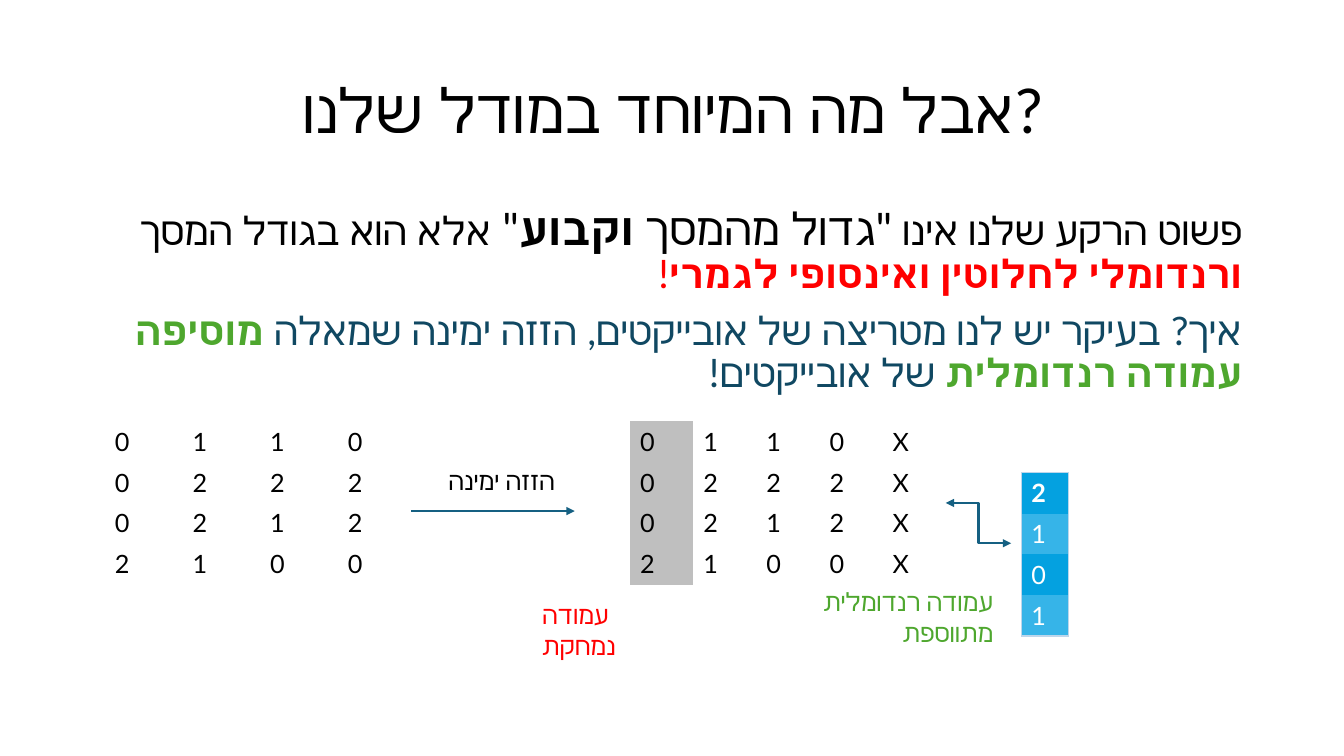
from lxml.etree import SubElement as Sub
from pptx import Presentation
from pptx.dml.color import RGBColor as RGB
from pptx.enum.shapes import MSO_CONNECTOR as Link
from pptx.enum.text import MSO_ANCHOR as Anchor, PP_ALIGN as Align
from pptx.oxml.ns import qn
from pptx.util import Inches, Pt

BLACK = RGB(0, 0, 0)
WHITE = RGB(255, 255, 255)
RED = RGB(255, 0, 0)
GREEN = RGB(0x4E, 0xA7, 0x2E)
NAVY = RGB(0x10, 0x48, 0x62)
TEAL = RGB(0x15, 0x60, 0x82)
GRAY = RGB(0xBF, 0xBF, 0xBF)
BLUE = RGB(0x04, 0xA1, 0xE0)
SKY = RGB(0x36, 0xB4, 0xE8)
EDGE = RGB(0xBD, 0xD6, 0xEB)
FONT = "Lato"
PLAIN = "{2D5ABB26-0587-4C30-8999-92F81FD0307C}"
ROW = 0.405

LEFT = ["0110", "0222", "0212", "2100"]
RIGHT = [row + "X" for row in LEFT]
ADDED = ["2", "1", "0", "1"]

BODY = [
    [("פשוט הרקע שלנו אינו ", 28, BLACK, False),
     ('"גדול מהמסך ', 32, BLACK, False),
     ("וקבוע", 32, BLACK, True),
     ('" ', 32, BLACK, False),
     ("אלא הוא בגודל המסך ", 28, BLACK, False),
     ("ורנדומלי לחלוטין ואינסופי לגמרי", 28, RED, True),
     ("!", 28, RED, False)],
    [("איך? בעיקר יש לנו מטריצה של אובייקטים, הזזה ימינה שמאלה ", 28, NAVY, False),
     ("מוסיפה עמודה רנדומלית ", 28, GREEN, True),
     ("של אובייקטים!", 28, NAVY, False)],
]


def style(run, size, color, bold=False):
    """Format one run, Hebrew letters included."""
    font = run.font
    for name, value in {"name": FONT, "size": Pt(size), "bold": bold}.items():
        setattr(font, name, value)
    font.color.rgb = color
    Sub(run._r.get_or_add_rPr(), qn("a:cs"), typeface=FONT)


def write(para, runs, rtl=False, **form):
    """Fill a paragraph with (text, size, colour, bold) runs."""
    if rtl:
        para._p.get_or_add_pPr().set("rtl", "1")
        para.alignment = Align.RIGHT
    for name, value in form.items():
        setattr(para, name, value)
    for text, *look in runs:
        run = para.add_run()
        run.text = text
        style(run, *look)


def place(shape, *box):
    """Move and size a shape, in inches."""
    for name, value in zip(("left", "top", "width", "height"), box):
        setattr(shape, name, Inches(value))


def add_text(slide, box, paras, rtl=False, **form):
    """Add a wrapping text box with one or more paragraphs."""
    frame = slide.shapes.add_textbox(*map(Inches, box)).text_frame
    frame.word_wrap = True
    for index, runs in enumerate(paras):
        para = frame.add_paragraph() if index else frame.paragraphs[0]
        write(para, runs, rtl, space_before=Pt(10 if index else 0), **form)


def add_edge(cell, sides):
    """Draw thin borders on the named sides of a cell."""
    props = cell._tc.get_or_add_tcPr()
    for side in sides:
        line = Sub(props, qn("a:ln" + side), w=str(Pt(1)))
        Sub(Sub(line, qn("a:solidFill")), qn("a:srgbClr"), val=str(EDGE))


def add_grid(slide, left, top, wide, rows, fills, color=BLACK, edged=False):
    """Add a table; fills maps (row, column) to a cell colour."""
    size = len(rows), len(rows[0])
    box = left, top, wide * size[1], ROW * size[0]
    table = slide.shapes.add_table(*size, *map(Inches, box)).table
    table.first_row = table.horz_banding = False
    table._tbl.tblPr.find(qn("a:tableStyleId")).text = PLAIN
    for r, row in enumerate(rows):
        for c, text in enumerate(row):
            cell = table.cell(r, c)
            if edged:
                ends = "T" * (r == 0) + "B" * (r == size[0] - 1)
                add_edge(cell, "LR" + ends)
            if (r, c) in fills:
                cell.fill.solid()
                cell.fill.fore_color.rgb = fills[r, c]
            else:
                cell.fill.background()
            bold = edged and r == 0
            write(cell.text_frame.paragraphs[0], [(text, 18, color, bold)])


def add_arrow(slide, kind, ends, heads):
    """Add a connector with the given arrowheads."""
    link = slide.shapes.add_connector(kind, *map(Inches, ends))
    link.line.color.rgb = TEAL
    link.line.width = Pt(1.5)
    line = link.line._get_or_add_ln()
    for head in heads:
        Sub(line, qn("a:" + head), type="triangle")
    Sub(link._element.spPr, qn("a:effectLst"))


def main():
    """Build the slide and save it."""
    deck = Presentation()
    deck.slide_width, deck.slide_height = Inches(13.33), Inches(7.5)
    slide = deck.slides.add_slide(deck.slide_layouts[5])

    title = slide.shapes.title
    place(title, 0.92, 0.4, 11.5, 1.45)
    title.text_frame.vertical_anchor = Anchor.MIDDLE
    write(title.text_frame.paragraphs[0],
          [("אבל מה המיוחד במודל שלנו?", 44, BLACK)],
          alignment=Align.CENTER, line_spacing=0.9)
    add_text(slide, (0.92, 2, 11.5, 2), BODY, rtl=True, line_spacing=0.9)

    add_grid(slide, 1.04, 4.18, 0.77, LEFT, {})
    add_grid(slide, 6.25, 4.18, 0.626, RIGHT, {(r, 0): GRAY for r in range(4)})
    bands = {(r, 0): SKY if r % 2 else BLUE for r in range(4)}
    add_grid(slide, 10.13, 4.69, 0.47, ADDED, bands, WHITE, True)

    add_arrow(slide, Link.STRAIGHT, (4.08, 5.07, 5.7, 5.07), ["tailEnd"])
    add_arrow(slide, Link.ELBOW, (10.03, 5.39, 9.38, 4.99),
              ["headEnd", "tailEnd"])

    add_text(slide, (4.35, 4.57, 1.4, 0.4), [[("הזזה ימינה", 18, BLACK)]])
    add_text(slide, (5.28, 5.9, 1.15, 0.71), [[("עמודה נמחקת", 18, RED)]])
    add_text(slide, (7.98, 5.77, 1.97, 0.71),
             [[("עמודה רנדומלית מתווספת", 18, GREEN)]], rtl=True)
    deck.save("out.pptx")


if __name__ == "__main__":
    main()
